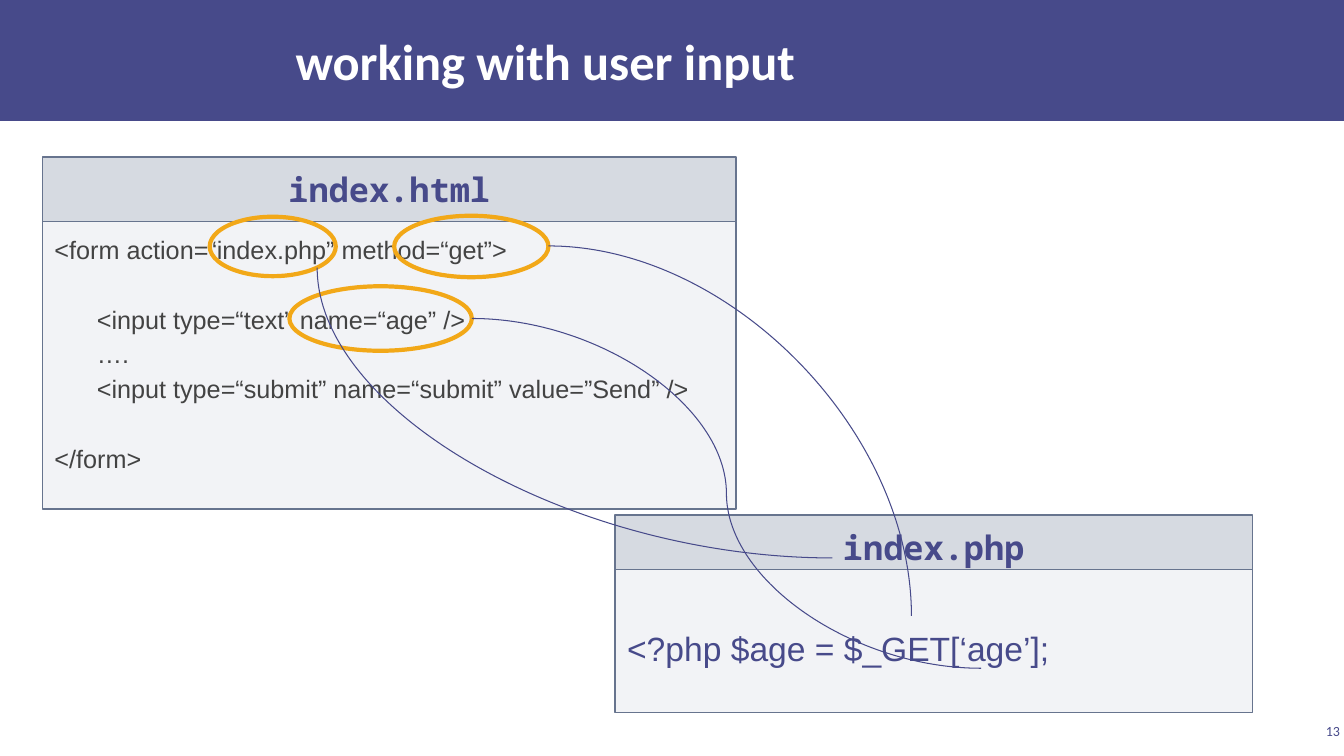
from dataclasses import dataclass

from lxml import etree
from pptx import Presentation
from pptx import util as u
from pptx.dml.color import RGBColor
from pptx.enum import shapes, text
from pptx.oxml.ns import qn

COLORS = {
    "indigo": "474A8A",
    "white": "FFFFFF",
    "panel": "ACB4C3",
    "border": "67748E",
    "code": "434343",
    "orange": "F2A818",
}
LINE_SPACING = 1.15
BLANK_LINE = 24.8
CODE_INDENT = 0.42


@dataclass
class Style:
    size: float
    font: str
    color: str
    bold: bool = False


@dataclass
class CodeLine:
    words: str
    indented: bool = False
    gap_before: float = 0


@dataclass
class FilePanel:
    name: str
    left: float
    top: float
    width: float
    header_height: float
    body_height: float
    body_inset: float
    style: Style
    lines: list[CodeLine]


@dataclass
class Curve:
    begin: tuple[float, float]
    end: tuple[float, float]
    preset: str = "curvedConnector2"
    rotation: int = 0


TITLE = Style(36, "Calibri", "white", True)
NUMBER = Style(10, "Calibri", "indigo")
HEADER = Style(24, "Noto Sans Mono", "indigo", True)

PANELS = [
    FilePanel("index.html", 0.42, 1.56, 6.88, 0.64, 2.85, 0.08, Style(18, "Arial", "code"), [
        CodeLine("<form action=“index.php” method=“get”>"),
        CodeLine("<input type=“text” name=“age” />", True, BLANK_LINE),
        CodeLine("….", True),
        CodeLine("<input type=“submit” name=“submit” value=”Send” />", True),
        CodeLine("</form>", False, BLANK_LINE),
    ]),
    FilePanel("index.php", 6.1, 5.11, 6.32, 0.54, 1.42, 0.52, Style(24, "Arial", "indigo"), [
        CodeLine("<?php $age = $_GET[‘age’];"),
    ]),
]
HIGHLIGHTS = [
    (2.08, 2.15, 1.25, 0.59),
    (3.91, 2.14, 1.53, 0.61),
    (2.87, 2.84, 1.81, 0.64),
]
CURVES = [
    Curve((5.44, 2.44), (9.04, 6.11)),
    Curve((7.14, 1.54), (4.26, 6.65), rotation=270),
    Curve((4.68, 3.16), (9.73, 6.63), "curvedConnector3"),
]


def rgb(name: str) -> RGBColor:
    return RGBColor.from_string(COLORS[name])


def set_frame(frame, anchor, left: float, top: float) -> None:
    """Set wrapping, anchor and insets; right and bottom insets match the left and 0.04."""
    frame.word_wrap = True
    frame.auto_size = text.MSO_AUTO_SIZE.NONE
    frame.vertical_anchor = anchor
    frame.margin_left = frame.margin_right = u.Inches(left)
    frame.margin_top, frame.margin_bottom = u.Inches(top), u.Inches(0.04)


def write(para, words: str, style: Style, align) -> None:
    para.text = words
    para.alignment = align
    for span in para.runs:
        span.font.size = u.Pt(style.size)
        span.font.name = style.font
        span.font.bold = style.bold
        span.font.color.rgb = rgb(style.color)


def add_box(page, kind, area, fill=None, opacity=100, line=None, weight=1.0):
    box = page.shapes.add_shape(kind, *map(u.Inches, area))
    box.shadow.inherit = False
    if fill:
        box.fill.solid()
        box.fill.fore_color.rgb = rgb(fill)
        if opacity < 100:
            color = box.fill._xPr.find(qn("a:solidFill"))[0]
            etree.SubElement(color, qn("a:alpha"), val=str(opacity * 1000))
    else:
        box.fill.background()
    if line:
        box.line.color.rgb = rgb(line)
        box.line.width = u.Pt(weight)
    else:
        box.line.fill.background()
    return box


def add_panel(page, panel: FilePanel) -> None:
    rectangle = shapes.MSO_SHAPE.RECTANGLE
    body_top = panel.top + panel.header_height
    body = add_box(page, rectangle, (panel.left, body_top, panel.width, panel.body_height),
                   "panel", 15, "border")
    frame = body.text_frame
    set_frame(frame, text.MSO_ANCHOR.TOP, 0.12, panel.body_inset)
    for index, line in enumerate(panel.lines):
        para = frame.add_paragraph() if index else frame.paragraphs[0]
        write(para, line.words, panel.style, text.PP_ALIGN.LEFT)
        para.line_spacing = LINE_SPACING
        para.space_before = u.Pt(line.gap_before)
        if line.indented:
            para._p.get_or_add_pPr().set("indent", str(u.Inches(CODE_INDENT)))

    header = add_box(page, rectangle, (panel.left, panel.top, panel.width, panel.header_height),
                     "panel", 49, "border")
    set_frame(header.text_frame, text.MSO_ANCHOR.TOP, 0.12, 0.12)
    write(header.text_frame.paragraphs[0], panel.name, HEADER, text.PP_ALIGN.CENTER)


def add_curve(page, curve: Curve) -> None:
    link = page.shapes.add_connector(shapes.MSO_CONNECTOR.CURVE,
                                     *map(u.Inches, curve.begin + curve.end))
    link.line.color.rgb = rgb("indigo")
    link.line.width = u.Pt(0.75)
    properties = link._element.spPr
    properties.find(qn("a:prstGeom")).set("prst", curve.preset)
    if curve.rotation:
        properties.find(qn("a:xfrm")).set("rot", str(curve.rotation * 60000))
    etree.SubElement(properties, qn("a:effectLst"))


def add_title(page) -> None:
    title = page.shapes.title
    title.left, title.top, title.width, title.height = map(u.Inches, (0.21, 0.11, 10.4, 0.97))
    set_frame(title.text_frame, text.MSO_ANCHOR.MIDDLE, 0.12, 0.04)
    write(title.text_frame.paragraphs[0], "working with user input", TITLE, text.PP_ALIGN.CENTER)
    band = add_box(page, shapes.MSO_SHAPE.RECTANGLE, (0, 0, 13.33, 1.2), "indigo")
    title._element.addprevious(band._element)


def add_page_number(page) -> None:
    box = page.shapes.add_textbox(*map(u.Inches, (12.86, 7.14, 0.47, 0.22)))
    set_frame(box.text_frame, text.MSO_ANCHOR.MIDDLE, 0.04, 0.04)
    write(box.text_frame.paragraphs[0], "13", NUMBER, text.PP_ALIGN.RIGHT)


def main() -> None:
    deck = Presentation()
    deck.slide_width, deck.slide_height = u.Inches(13.33), u.Inches(7.5)
    page = deck.slides.add_slide(deck.slide_layouts.get_by_name("Title Only"))
    add_title(page)
    add_page_number(page)
    for panel in PANELS:
        add_panel(page, panel)
    for area in HIGHLIGHTS:
        add_box(page, shapes.MSO_SHAPE.OVAL, area, line="orange", weight=3)
    for curve in CURVES:
        add_curve(page, curve)
    deck.save("out.pptx")


if __name__ == "__main__":
    main()
